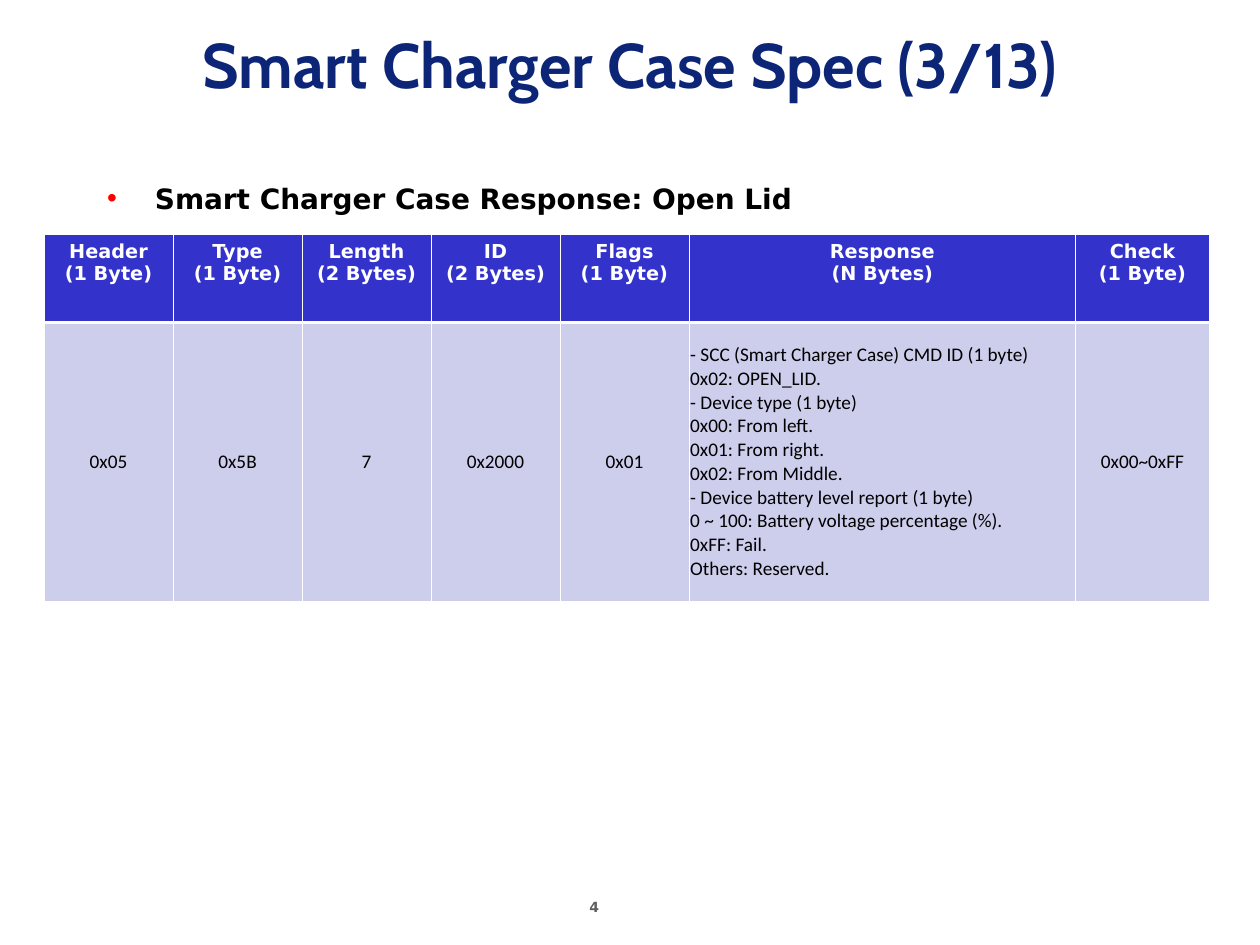
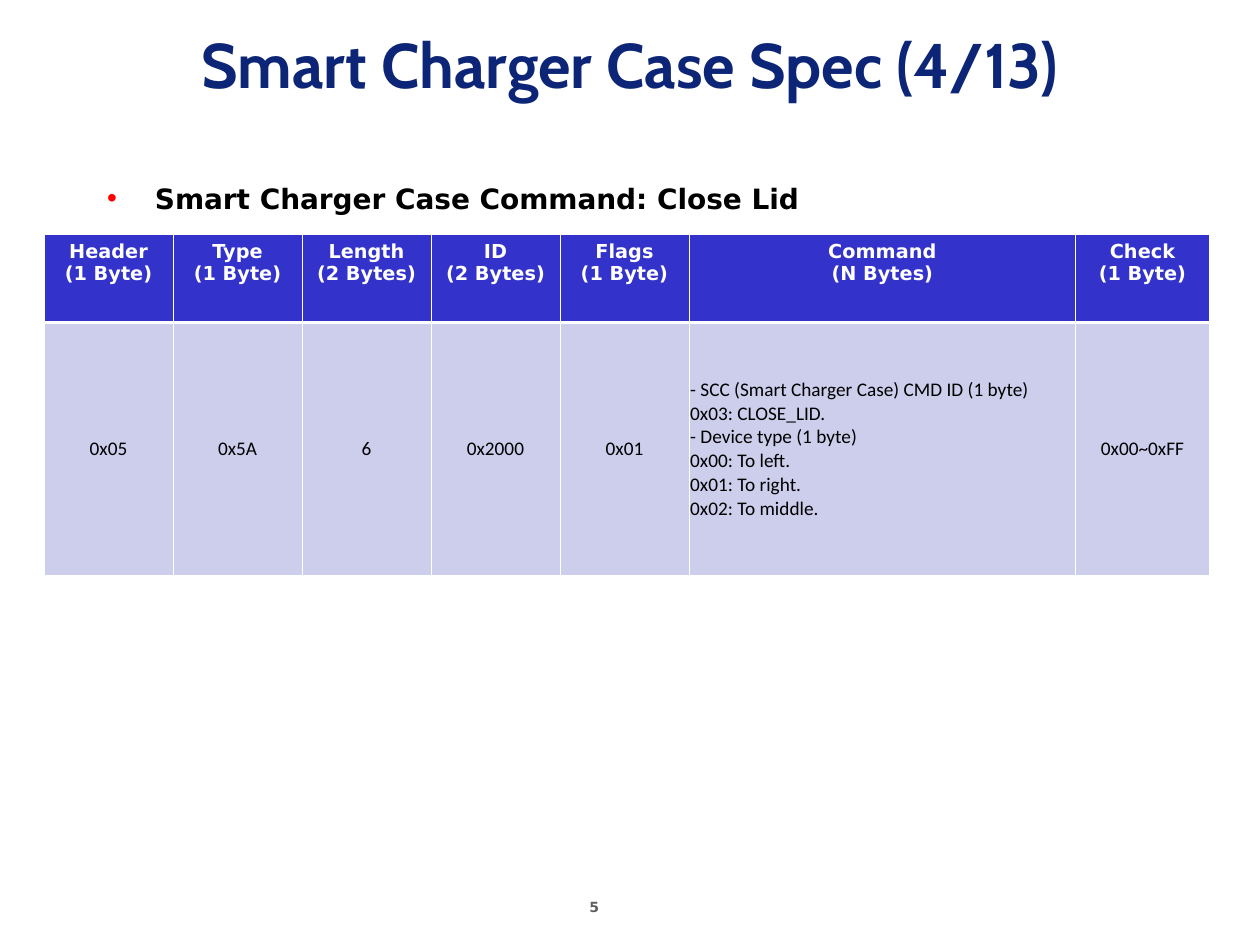
"""Builds two specification slides that describe smart charger case packets."""
from lxml.etree import SubElement
from pptx import Presentation
from pptx.dml.color import RGBColor
from pptx.enum.text import MSO_ANCHOR as Anchor, MSO_AUTO_SIZE as AutoSize, PP_ALIGN as Align
from pptx.oxml import parse_xml
from pptx.oxml.ns import nsdecls, qn
from pptx.util import Inches, Pt

PACKETS = [
    {
        "number": "4",
        "title": "Smart Charger Case Spec (3/13)",
        "topic": "Smart Charger Case Response: Open Lid",
        "payload": "Response",
        "type": "0x5B",
        "length": "7",
        "row_height": 2.21,
        "details": [
            "- SCC (Smart Charger Case) CMD ID (1 byte)",
            "0x02: OPEN_LID.",
            "- Device type (1 byte)",
            "0x00: From left.",
            "0x01: From right.",
            "0x02: From Middle.",
            "- Device battery level report (1 byte)",
            "0 ~ 100: Battery voltage percentage (%).",
            "0xFF: Fail.",
            "Others: Reserved.",
        ],
    },
    {
        "number": "5",
        "title": "Smart Charger Case Spec (4/13)",
        "topic": "Smart Charger Case Command: Close Lid",
        "payload": "Command",
        "type": "0x5A",
        "length": "6",
        "row_height": 2.01,
        "details": [
            "- SCC (Smart Charger Case) CMD ID (1 byte)",
            "0x03: CLOSE_LID.",
            "- Device type (1 byte)",
            "0x00: To left.",
            "0x01: To right.",
            "0x02: To middle.",
        ],
    },
]

NAVY, RED, GRAY, BLACK, WHITE = "0C2577", "FF0000", "5F5F5F", "000000", "FFFFFF"
HEADER_FILL, FIELD_FILL = "3333CC", "CDCDEC"
TITLE_FONT, LABEL_FONT, FIELD_FONT = "Cabin", "DejaVu Sans", "Calibri"

TABLE_LEFT, TABLE_TOP, TABLE_WIDTH, HEADER_HEIGHT = 0.35, 1.86, 9.25, 0.7
PAYLOAD_WIDTH, CHECK_WIDTH, NARROW_COUNT = 3.07, 1.06, 5
NARROW_WIDTH = (TABLE_WIDTH - PAYLOAD_WIDTH - CHECK_WIDTH) / NARROW_COUNT
COLUMN_WIDTHS = [NARROW_WIDTH] * NARROW_COUNT + [PAYLOAD_WIDTH, CHECK_WIDTH]
THIN, THICK = 0.45, 1.47


def color(value):
    """Turn a hex string into a colour."""
    return RGBColor.from_string(value)


def write(frame, lines, font, size, ink, bold=True, align=Align.LEFT):
    """Write each line as one paragraph with one run."""
    for index, line in enumerate(lines):
        para = frame.paragraphs[0] if index == 0 else frame.add_paragraph()
        para.alignment = align
        span = para.add_run()
        span.text = line
        span.font.name = font
        span.font.size = Pt(size)
        span.font.bold = bold
        span.font.color.rgb = color(ink)


def place(box, left, top, width, height):
    """Move and size a shape, in inches."""
    box.left, box.top = Inches(left), Inches(top)
    box.width, box.height = Inches(width), Inches(height)


def add_bullet(para):
    """Give a paragraph a red bullet with a hanging indent."""
    para.space_before = Pt(4)
    props = para._p.get_or_add_pPr()
    props.set("marL", str(Inches(0.38)))
    props.set("indent", str(-Inches(0.38)))
    SubElement(SubElement(props, qn("a:buClr")), qn("a:srgbClr")).set("val", RED)
    SubElement(props, qn("a:buChar")).set("char", "•")


def paint(cell, fill, top, bottom):
    """Fill a cell and draw its white borders."""
    cell.fill.solid()
    cell.fill.fore_color.rgb = color(fill)
    props = cell._tc.get_or_add_tcPr()
    sides = {"lnL": THIN, "lnR": THIN, "lnT": top, "lnB": bottom}
    for index, (side, width) in enumerate(sides.items()):
        props.insert(index, parse_xml(
            f'<a:{side} {nsdecls("a")} w="{Pt(width)}"><a:solidFill>'
            f'<a:srgbClr val="{WHITE}"/></a:solidFill></a:{side}>'))


def add_packet_table(page, packet):
    """Add the table of packet fields."""
    fields = [
        ("Header", "(1 Byte)", ["0x05"]),
        ("Type", "(1 Byte)", [packet["type"]]),
        ("Length", "(2 Bytes)", [packet["length"]]),
        ("ID", "(2 Bytes)", ["0x2000"]),
        ("Flags", "(1 Byte)", ["0x01"]),
        (packet["payload"], "(N Bytes)", packet["details"]),
        ("Check", "(1 Byte)", ["0x00~0xFF"]),
    ]
    heights = [HEADER_HEIGHT, packet["row_height"]]
    table = page.shapes.add_table(
        len(heights), len(fields), Inches(TABLE_LEFT), Inches(TABLE_TOP),
        Inches(TABLE_WIDTH), Inches(sum(heights))).table
    table.horz_banding = False
    for row, height in zip(table.rows, heights):
        row.height = Inches(height)
    for index, (name, size, values) in enumerate(fields):
        table.columns[index].width = Inches(COLUMN_WIDTHS[index])
        header, field = table.cell(0, index), table.cell(1, index)
        paint(header, HEADER_FILL, THIN, THICK)
        write(header.text_frame, [name, size], LABEL_FONT, 11, WHITE, align=Align.CENTER)
        paint(field, FIELD_FILL, THICK, THIN)
        field.vertical_anchor = Anchor.MIDDLE
        field.margin_left = field.margin_right = Inches(0.01)
        align = Align.LEFT if values is packet["details"] else Align.CENTER
        write(field.text_frame, values, FIELD_FONT, 11, BLACK, False, align)


def add_page(deck, packet):
    """Add one slide: title, topic, table and page number."""
    page = deck.slides.add_slide(deck.slide_layouts[1])
    title, body = page.placeholders
    place(title, 0, 0, 10, 1)
    title.text_frame.vertical_anchor = Anchor.MIDDLE
    write(title.text_frame, [packet["title"]], TITLE_FONT, 36, NAVY, align=Align.CENTER)

    place(body, 0.75, 1.39, 9.25, 5.17)
    write(body.text_frame, [packet["topic"]], LABEL_FONT, 16, BLACK)
    add_bullet(body.text_frame.paragraphs[0])
    for box in (title, body):
        box.text_frame.auto_size = AutoSize.NONE

    add_packet_table(page, packet)
    number = page.shapes.add_textbox(Inches(4.58), Inches(7.08), Inches(0.77), Inches(0.26))
    number.text_frame.word_wrap = True
    write(number.text_frame, [packet["number"]], LABEL_FONT, 8, GRAY)


def main():
    """Build and save the deck."""
    deck = Presentation()
    deck.slide_width, deck.slide_height = Inches(10), Inches(7.5)
    for packet in PACKETS:
        add_page(deck, packet)
    deck.save("out.pptx")


if __name__ == "__main__":
    main()
